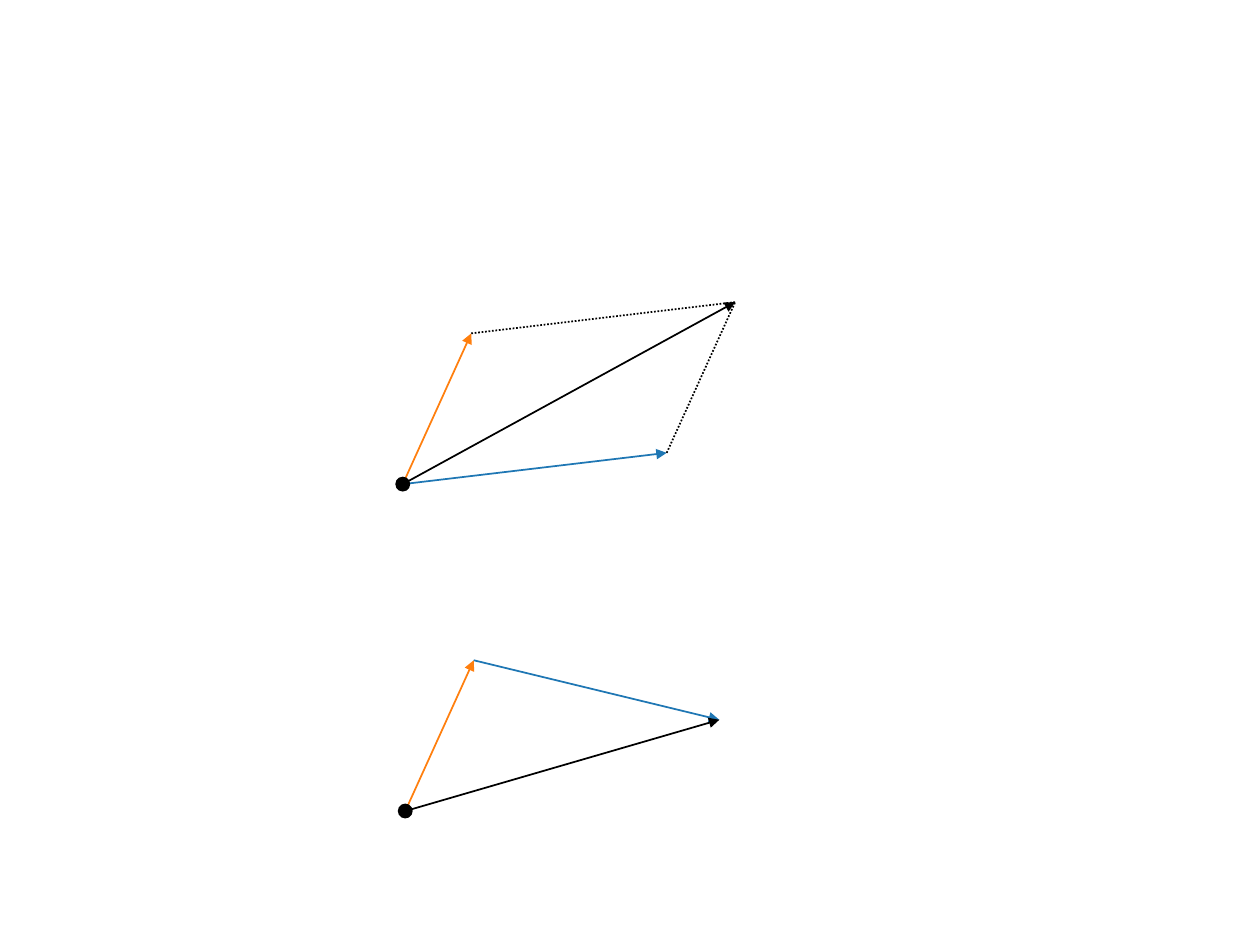
"""Build a slide that adds two vectors by the parallelogram and the triangle rule."""
from pptx import Presentation
from pptx.dml.color import RGBColor
from pptx.enum.dml import MSO_LINE
from pptx.enum.shapes import MSO_CONNECTOR, MSO_SHAPE
from pptx.oxml.ns import qn
from pptx.util import Cm, Pt
from lxml import etree

STRAIGHT = MSO_CONNECTOR.STRAIGHT
OVAL = MSO_SHAPE.OVAL
DOTTED = MSO_LINE.ROUND_DOT
ORANGE = RGBColor(0xFF, 0x7F, 0x0E)
BLUE = RGBColor(0x1F, 0x77, 0xB4)
BLACK = RGBColor(0, 0, 0)
DOT_SIZE = 0.3

deck = Presentation()
deck.slide_width, deck.slide_height = Cm(25.4), Cm(19.05)
page = deck.slides.add_slide(deck.slide_layouts[6])


def add_line(start, end, color, dotted=False):
    line = page.shapes.add_connector(STRAIGHT, *(Cm(value) for value in (*start, *end)))
    line.line.color.rgb = color
    line.line.width = Pt(1)
    if dotted:
        line.line.dash_style = DOTTED
    else:
        etree.SubElement(line.line._get_or_add_ln(), qn("a:tailEnd"), type="triangle")
    etree.SubElement(line._element.spPr, qn("a:effectLst"))


def add_origin(center):
    left, top = (Cm(value - DOT_SIZE / 2) for value in center)
    dot = page.shapes.add_shape(OVAL, left, top, Cm(DOT_SIZE), Cm(DOT_SIZE))
    dot.shadow.inherit = False
    dot.fill.solid()
    dot.fill.fore_color.rgb = BLACK
    dot.line.fill.background()


first_vector = (1.38, -3.04)
parallelogram_vector = (5.32, -0.63)
triangle_vector = (4.95, 1.2)

origin = (8.12, 9.76)
first_tip = (origin[0] + first_vector[0], origin[1] + first_vector[1])
second_tip = (origin[0] + parallelogram_vector[0], origin[1] + parallelogram_vector[1])
sum_tip = (first_tip[0] + parallelogram_vector[0], first_tip[1] + parallelogram_vector[1])
add_line(origin, first_tip, ORANGE)
add_line(origin, second_tip, BLUE)
add_origin(origin)
for tip in (first_tip, second_tip):
    add_line(tip, sum_tip, BLACK, dotted=True)
add_line(origin, sum_tip, BLACK)

origin = (8.17, 16.35)
first_tip = (origin[0] + first_vector[0], origin[1] + first_vector[1])
sum_tip = (first_tip[0] + triangle_vector[0], first_tip[1] + triangle_vector[1])
add_line(origin, first_tip, ORANGE)
add_line(first_tip, sum_tip, BLUE)
add_origin(origin)
add_line(origin, sum_tip, BLACK)

deck.save("out.pptx")
